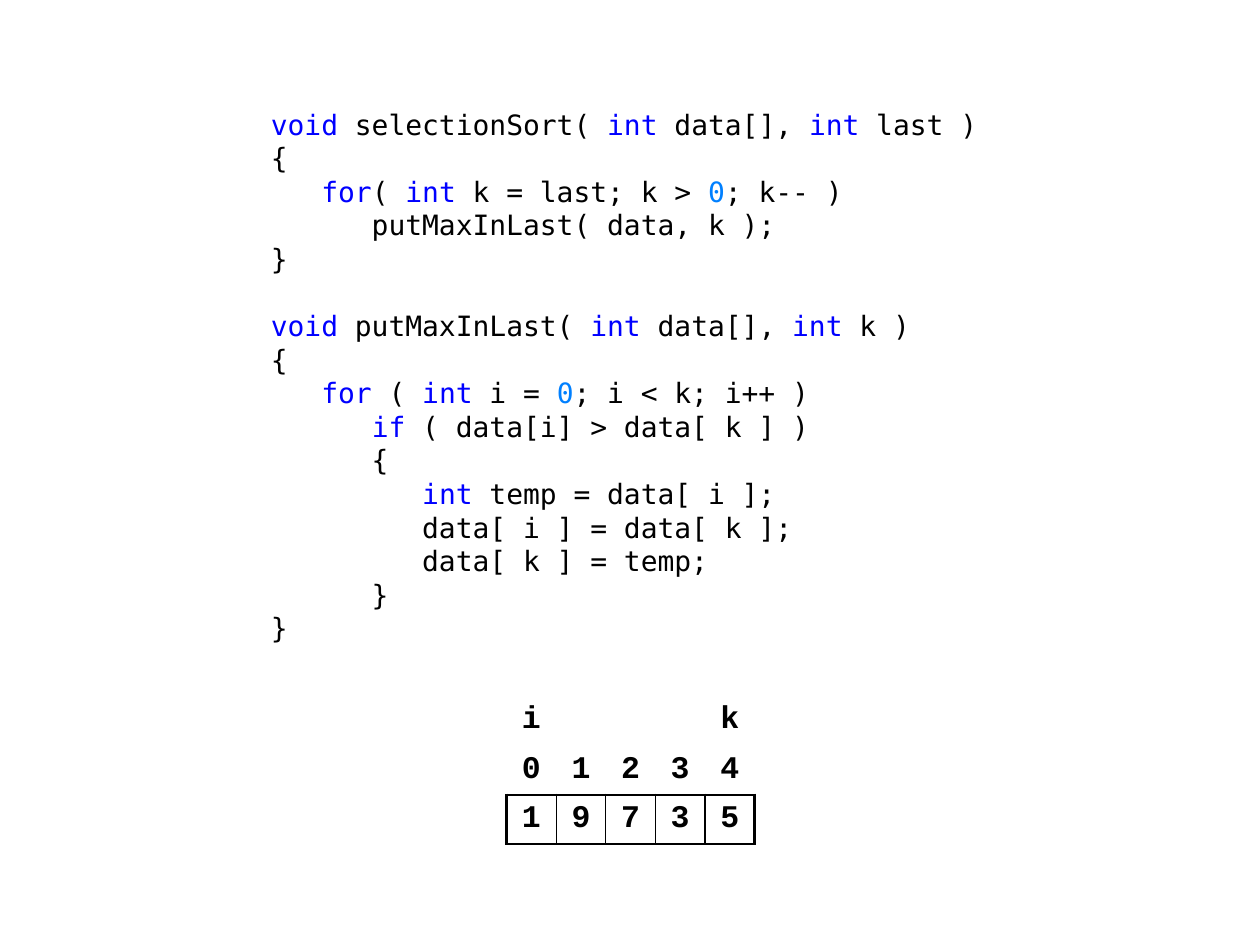
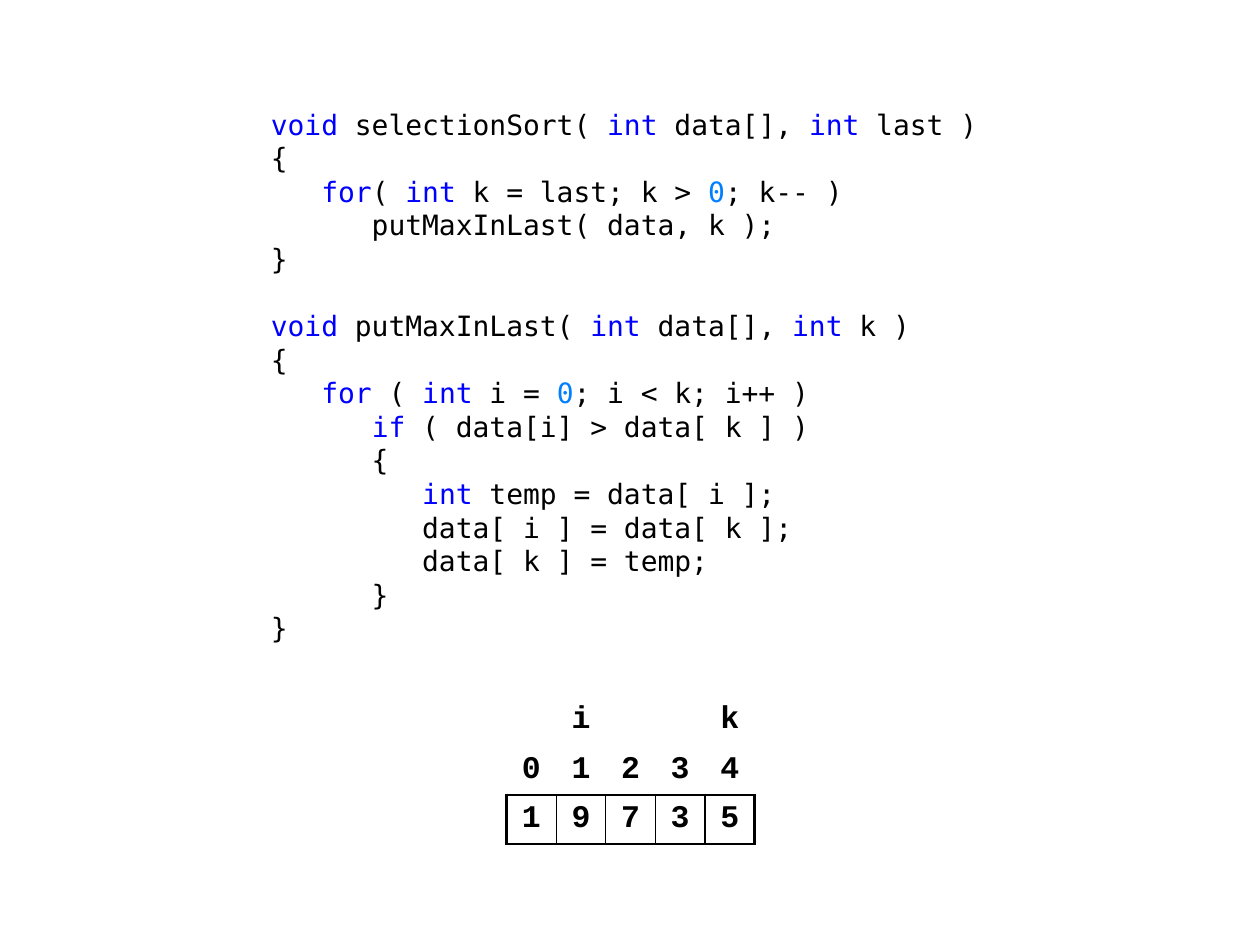
import itertools

import pptx
import pptx.dml.color
import pptx.enum.text
import pptx.oxml
import pptx.oxml.ns
import pptx.util

Inches = pptx.util.Inches
Pt = pptx.util.Pt

BLACK, WHITE, BLUE, LIGHT_BLUE = "000000", "FFFFFF", "0000FF", "0080FF"
KEYWORDS = {"void", "int", "for", "if"}
NO_STYLE = "{2D5ABB26-0587-4C30-8999-92F81FD0307C}"
THICK, THIN = 1.5, 0.75

SORT_CODE = """\
void selectionSort( int data[], int last )
{
   for( int k = last; k > 0; k-- )
      putMaxInLast( data, k );
}"""

MAX_CODE = """\
void putMaxInLast( int data[], int k )
{
   for ( int i = 0; i < k; i++ )
      if ( data[i] > data[ k ] )
      {
         int temp = data[ i ];
         data[ i ] = data[ k ];
         data[ k ] = temp;
      }
}"""

DATA = [1, 9, 7, 3, 5]


def color(value):
    return pptx.dml.color.RGBColor.from_string(value)


def write(paragraph, text, font, size, fill=BLACK, bold=False):
    run = paragraph.add_run()
    run.text = text
    run.font.name = font
    run.font.size = Pt(size)
    run.font.bold = bold
    run.font.color.rgb = color(fill)


def token_color(token):
    if token in KEYWORDS:
        return BLUE
    return LIGHT_BLUE if token.isdigit() else BLACK


def draw_border(cell, side, width):
    cell._tc.get_or_add_tcPr().append(pptx.oxml.parse_xml(
        f'<a:ln{side} {pptx.oxml.ns.nsdecls("a")} w="{Pt(width)}">'
        f'<a:solidFill><a:srgbClr val="{BLACK}"/></a:solidFill></a:ln{side}>'))


class SortDeck:
    code_font, code_size, line_height = "DejaVu Sans Mono", 16, 19.2
    cell_font, cell_size = "Courier New", 18

    def __init__(self):
        self.deck = pptx.Presentation()
        self.deck.slide_width = Inches(10)
        self.deck.slide_height = Inches(7.5)
        self.slide = None

    def new_slide(self):
        self.slide = self.deck.slides.add_slide(self.deck.slide_layouts[1])
        title = self.slide.shapes.title._element
        title.getparent().remove(title)

    def code(self, functions, left, top, width, height):
        listing = self.slide.placeholders[1]
        listing.left, listing.top = Inches(left), Inches(top)
        listing.width, listing.height = Inches(width), Inches(height)
        frame = listing.text_frame
        frame.auto_size = pptx.enum.text.MSO_AUTO_SIZE.NONE
        frame.vertical_anchor = pptx.enum.text.MSO_ANCHOR.TOP
        paragraph = frame.paragraphs[0]
        for function_index, function in enumerate(functions):
            for line_index, line in enumerate(function.splitlines()):
                if function_index or line_index:
                    paragraph = frame.add_paragraph()
                starts_later = function_index > 0 and line_index == 0
                self.code_line(paragraph, line, self.line_height if starts_later else 0)

    def code_line(self, paragraph, line, gap):
        properties = paragraph._p.get_or_add_pPr()
        properties.set("marL", "0")
        properties.set("indent", "0")
        properties.append(pptx.oxml.parse_xml(f'<a:buNone {pptx.oxml.ns.nsdecls("a")}/>'))
        paragraph.space_before = Pt(gap)
        paragraph.line_spacing = Pt(self.line_height)
        tokens = ["".join(group) for _, group in itertools.groupby(line, str.isalnum)]
        for fill, group in itertools.groupby(tokens, token_color):
            write(paragraph, "".join(group), font=self.code_font,
                  size=self.code_size, fill=fill)

    def array(self, values, markers, left, top, width, height):
        last = len(values) - 1
        rows = [
            [markers.get(index, "") for index in range(len(values))],
            range(len(values)),
            values,
        ]
        grid = self.slide.shapes.add_table(
            len(rows), len(values), Inches(left), Inches(top),
            Inches(width), Inches(height)).table
        grid.first_row = grid.horz_banding = False
        grid._tbl.tblPr.find(pptx.oxml.ns.qn("a:tableStyleId")).text = NO_STYLE
        for row_index, row in enumerate(rows):
            for index, value in enumerate(row):
                cell = grid.cell(row_index, index)
                self.array_cell(cell, str(value))
                if row_index == 1:
                    draw_border(cell, "B", THICK)
                if row_index == 2:
                    draw_border(cell, "L", THICK if index == 0 else THIN)
                    draw_border(cell, "R", THICK if index == last else THIN)
                    draw_border(cell, "T", THICK)
                    draw_border(cell, "B", THICK)
                    cell.fill.solid()
                    cell.fill.fore_color.rgb = color(WHITE)
                else:
                    cell.fill.background()

    def array_cell(self, cell, text):
        cell.margin_left = cell.margin_right = Inches(0.1)
        cell.margin_top = cell.margin_bottom = Inches(0.04)
        cell.vertical_anchor = pptx.enum.text.MSO_ANCHOR.MIDDLE
        paragraph = cell.text_frame.paragraphs[0]
        paragraph.alignment = pptx.enum.text.PP_ALIGN.CENTER
        if text:
            write(paragraph, text, font=self.cell_font, size=self.cell_size, bold=True)


def main():
    sort = SortDeck()
    for i in range(2):
        sort.new_slide()
        sort.code([SORT_CODE, MAX_CODE], 2.05, 0.8, 5.91, 4.33)
        sort.array(DATA, {i: "i", len(DATA) - 1: "k"}, 4.02, 5.52, 1.97, 1.18)
    sort.deck.save("out.pptx")


if __name__ == "__main__":
    main()
